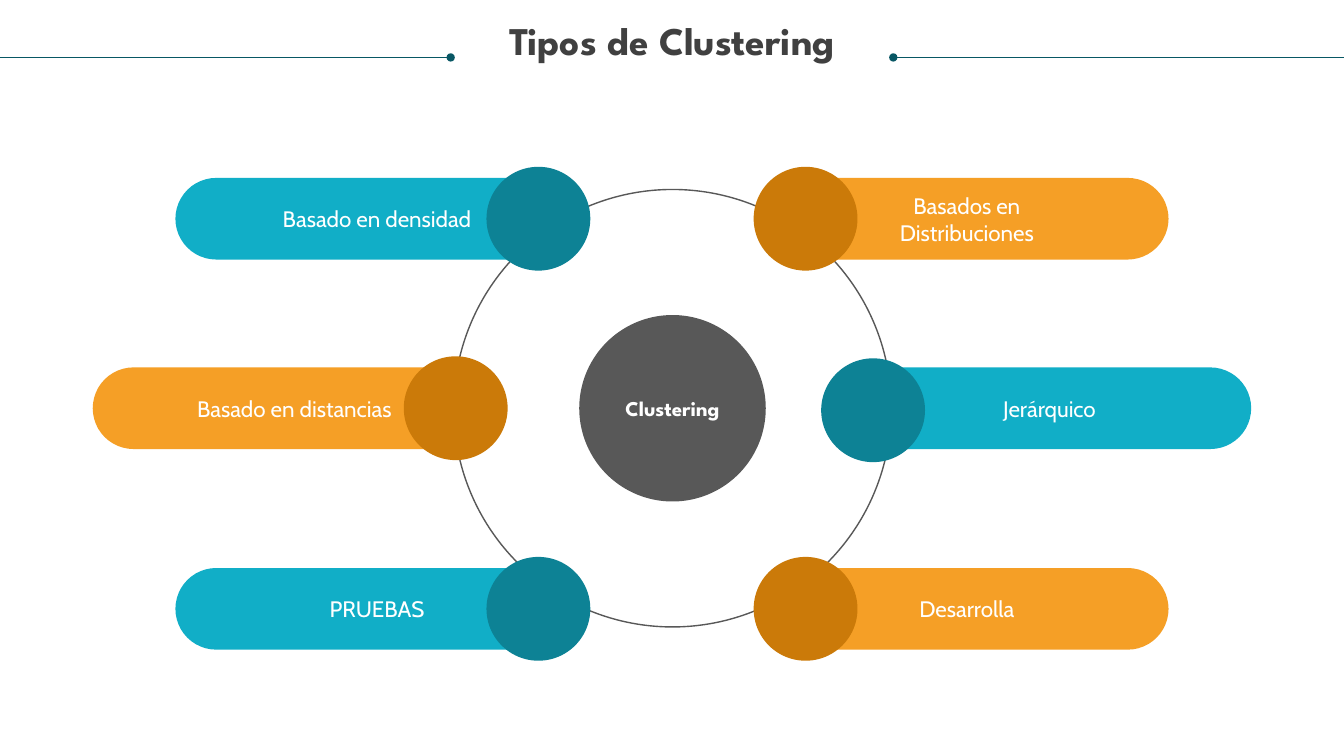
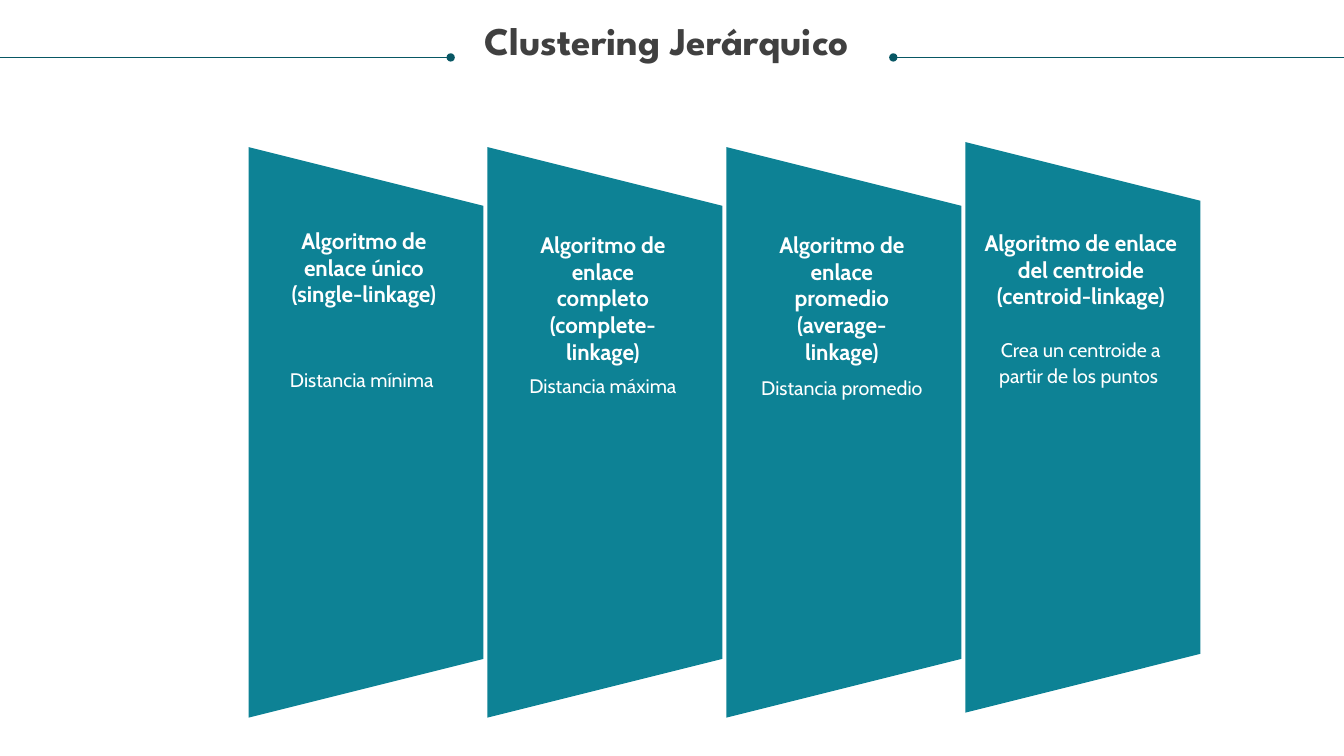
import pptx
import pptx.util
import pptx.dml.color
import pptx.enum.shapes
import pptx.enum.text
import pptx.oxml
import pptx.oxml.ns

Inches = pptx.util.Inches
Pt = pptx.util.Pt
SHAPE = pptx.enum.shapes.MSO_SHAPE
ANCHOR = pptx.enum.text.MSO_ANCHOR

COLORS = {
    "white": "FFFFFF", "title": "404040", "rule": "085764", "hub": "585858",
    "teal": "11AEC7", "dark teal": "0D8295",
    "orange": "F59F26", "dark orange": "CB7A09",
}
TITLE_FONT, BODY_FONT = "League Spartan", "Cabin"
WIDTH, HEIGHT = 13.33, 7.5

TYPES_TITLE = "Tipos de Clustering"
HUB_LABEL = "Clustering"
HUB_CENTER = (6.67, 4.05)
RING_SIZE, HUB_SIZE, NODE_SIZE = 4.34, 1.85, 1.03
PILL_WIDTH, PILL_HEIGHT, PILL_OVERLAP = 4, 0.81, 0.4
ROWS = [
    {"node_x": 5.34, "y": 2.17, "left": ("Basado en densidad", "teal"),
     "right": ("Basados en\nDistribuciones", "orange"), "right_shift": (0, 0)},
    {"node_x": 4.52, "y": 4.05, "left": ("Basado en distancias", "orange"),
     "right": ("Jerárquico", "teal"), "right_shift": (-0.15, 0.02)},
    {"node_x": 5.34, "y": 6.04, "left": ("PRUEBAS", "teal"),
     "right": ("Desarrolla", "orange"), "right_shift": (0, 0)},
]

LINKAGE_TITLE = "Clustering Jerárquico "
PANEL_LENGTH, PANEL_WIDTH, PANEL_PITCH = 5.66, 2.33, 2.37
FIRST_PANEL_X, FIRST_TEXT_X = 3.63, 3.61
CAPTION_WIDTH = 1.99
PANELS = [
    {"heading": "Algoritmo de enlace único (single-linkage)", "heading_top": 2.25,
     "heading_width": 1.56, "caption": "Distancia mínima ", "caption_top": 3.62, "center_y": 4.29},
    {"heading": "Algoritmo de enlace completo (complete-linkage)", "heading_top": 2.29,
     "heading_width": 1.56, "caption": "Distancia máxima", "caption_top": 3.68, "center_y": 4.29},
    {"heading": "Algoritmo de enlace promedio (average-linkage)", "heading_top": 2.29,
     "heading_width": 1.56, "caption": "Distancia promedio", "caption_top": 3.7, "center_y": 4.29},
    {"heading": "Algoritmo de enlace del centroide (centroid-linkage)", "heading_top": 2.27,
     "heading_width": 1.99, "caption": "Crea un centroide a partir de los puntos ",
     "caption_top": 3.32, "center_y": 4.24},
]


def color(name):
    return pptx.dml.color.RGBColor.from_string(COLORS[name])


def write(shape, text, size, font=BODY_FONT, bold=False, ink="white", spacing=None,
          anchor=ANCHOR.MIDDLE, margin=None):
    frame = shape.text_frame
    frame.text = text
    frame.word_wrap = True
    frame.auto_size = pptx.enum.text.MSO_AUTO_SIZE.NONE
    frame.vertical_anchor = anchor
    if margin is not None:
        frame.margin_left = frame.margin_right = Inches(margin)
        frame.margin_top = frame.margin_bottom = Inches(margin)
    for paragraph in frame.paragraphs:
        paragraph.alignment = pptx.enum.text.PP_ALIGN.CENTER
        paragraph.line_spacing = spacing
        for run in paragraph.runs:
            run.font.size = Pt(size)
            run.font.name = font
            run.font.bold = bold
            run.font.color.rgb = color(ink)


def add_centered(slide, kind, center_x, center_y, width, height, fill=None):
    shape = slide.shapes.add_shape(kind, Inches(center_x - width / 2), Inches(center_y - height / 2),
                                   Inches(width), Inches(height))
    shape.shadow.inherit = False
    shape.line.fill.background()
    if fill:
        shape.fill.solid()
        shape.fill.fore_color.rgb = color(fill)
    else:
        shape.fill.background()
    return shape


def add_text(slide, center_x, top, width, height, text, size, **style):
    box = slide.shapes.add_textbox(Inches(center_x - width / 2), Inches(top),
                                   Inches(width), Inches(height))
    write(box, text, size, anchor=ANCHOR.TOP, margin=0, **style)


def add_title_rule(slide, dot_x, edge_x):
    rule = slide.shapes.add_connector(pptx.enum.shapes.MSO_CONNECTOR.STRAIGHT,
                                      Inches(dot_x), Inches(0.57), Inches(edge_x), Inches(0.57))
    rule.line.color.rgb = color("rule")
    rule.line.width = Pt(0.5)
    line = rule.line._get_or_add_ln()
    line.append(pptx.oxml.parse_xml(
        f'<a:headEnd {pptx.oxml.ns.nsdecls("a")} type="oval"/>'))
    rule._element.spPr.append(pptx.oxml.parse_xml(
        f'<a:effectLst {pptx.oxml.ns.nsdecls("a")}/>'))


def add_titled_slide(presentation, text):
    slide = presentation.slides.add_slide(presentation.slide_layouts[5])
    title = slide.shapes.title
    title.left, title.top = Inches(0.25), Inches(0.21)
    title.width, title.height = Inches(12.83), Inches(0.85)
    write(title, text, 28, font=TITLE_FONT, bold=True, ink="title", spacing=0.9,
          anchor=ANCHOR.TOP, margin=0)
    add_title_rule(slide, 4.47, 0)
    add_title_rule(slide, 8.86, WIDTH)
    return slide


def add_branch(slide, label, hue, node_x, y, direction, shift=(0, 0)):
    pill_x = node_x + direction * (PILL_WIDTH / 2 - PILL_OVERLAP)
    pill = add_centered(slide, SHAPE.ROUNDED_RECTANGLE, pill_x, y, PILL_WIDTH, PILL_HEIGHT, hue)
    pill.adjustments[0] = 0.5
    write(pill, label, 16)
    add_centered(slide, SHAPE.OVAL, node_x + shift[0], y + shift[1],
                 NODE_SIZE, NODE_SIZE, "dark " + hue)


def build_types_slide(presentation):
    slide = add_titled_slide(presentation, TYPES_TITLE)
    ring = add_centered(slide, SHAPE.OVAL, *HUB_CENTER, RING_SIZE, RING_SIZE)
    ring.line.color.rgb = color("hub")
    ring.line.width = Pt(1)
    hub = add_centered(slide, SHAPE.OVAL, *HUB_CENTER, HUB_SIZE, HUB_SIZE, "hub")
    write(hub, HUB_LABEL, 15, font=TITLE_FONT, bold=True)
    for row in ROWS:
        add_branch(slide, *row["left"], row["node_x"], row["y"], -1)
        add_branch(slide, *row["right"], WIDTH - row["node_x"], row["y"], 1, row["right_shift"])


def build_linkage_slide(presentation):
    slide = add_titled_slide(presentation, LINKAGE_TITLE)
    for index, panel in enumerate(PANELS):
        offset = index * PANEL_PITCH
        trapezoid = add_centered(slide, SHAPE.TRAPEZOID, FIRST_PANEL_X + offset, panel["center_y"],
                                 PANEL_LENGTH, PANEL_WIDTH, "dark teal")
        trapezoid.rotation = 90
        text_x = FIRST_TEXT_X + offset
        add_text(slide, text_x, panel["heading_top"], panel["heading_width"], 1.35,
                 panel["heading"], 16, bold=True)
        add_text(slide, text_x, panel["caption_top"], CAPTION_WIDTH, 0.51,
                 panel["caption"], 14, spacing=Pt(19))


def main():
    presentation = pptx.Presentation()
    presentation.slide_width = Inches(WIDTH)
    presentation.slide_height = Inches(HEIGHT)
    build_types_slide(presentation)
    build_linkage_slide(presentation)
    presentation.save("out.pptx")


if __name__ == "__main__":
    main()
